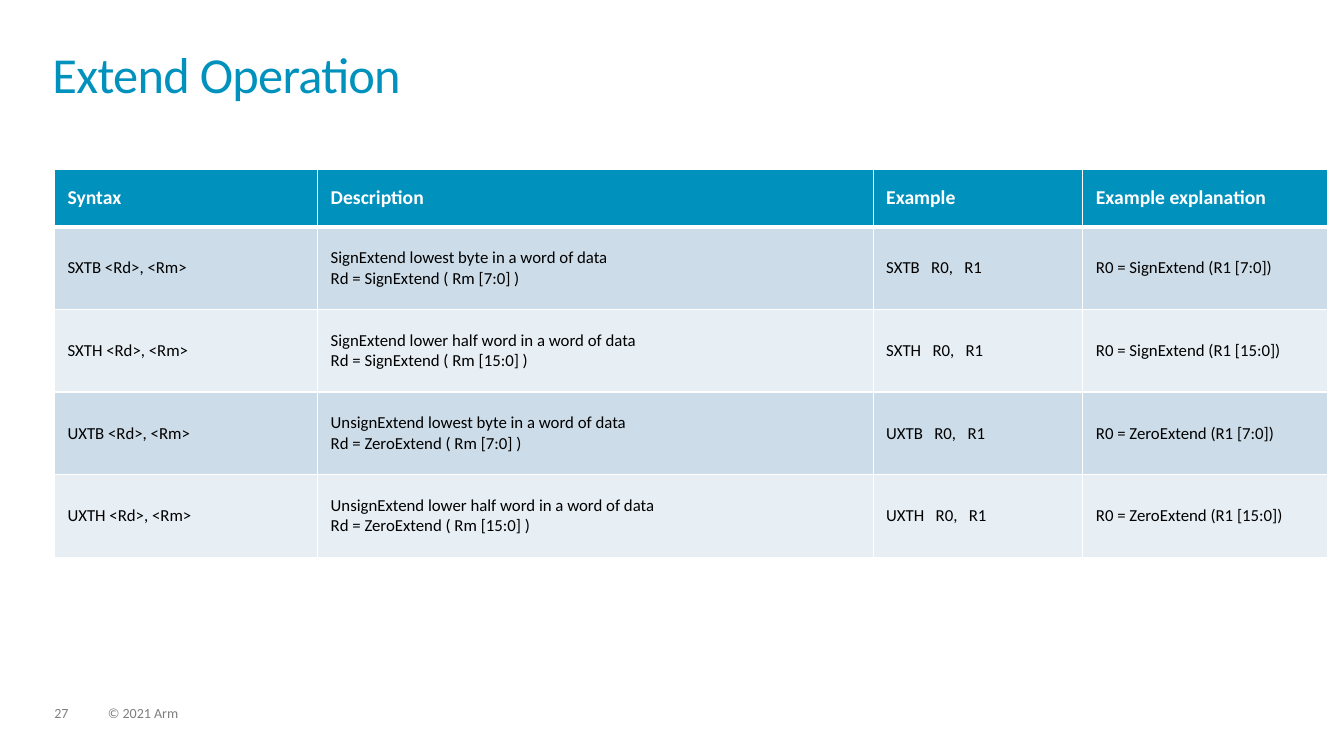
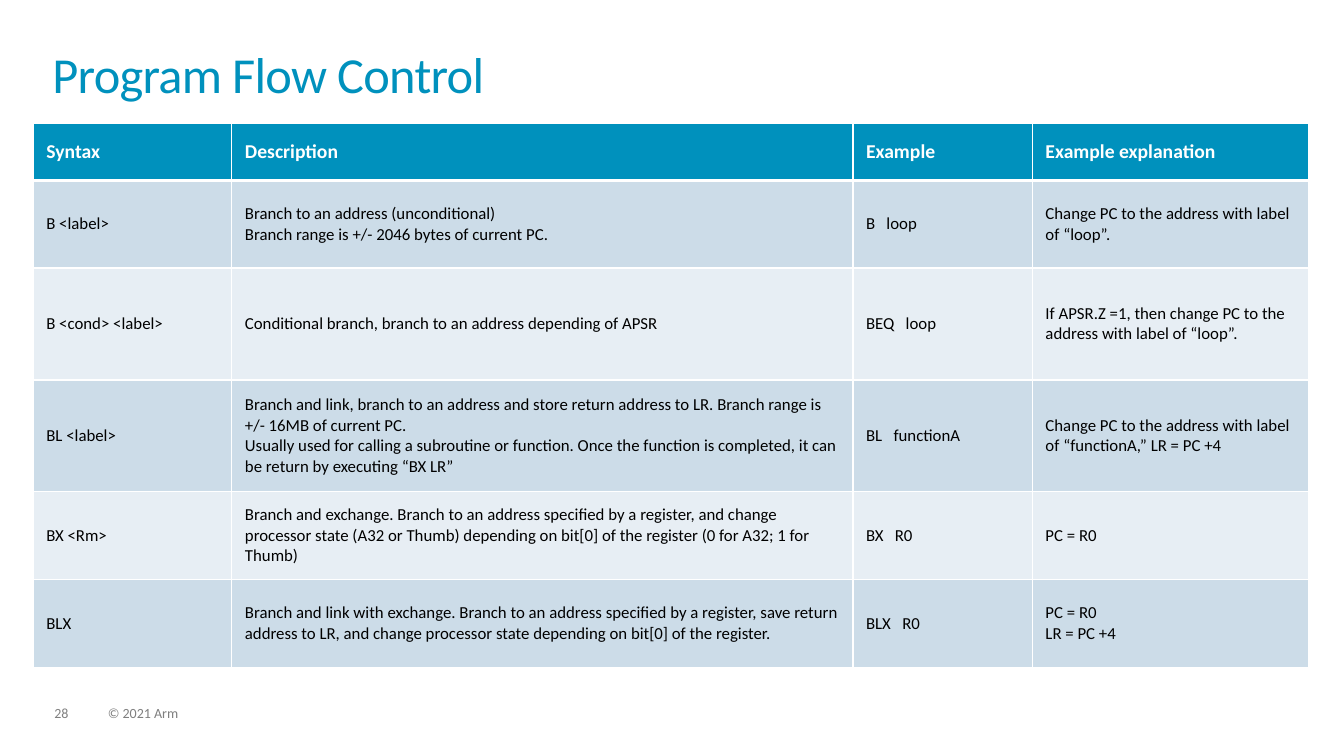
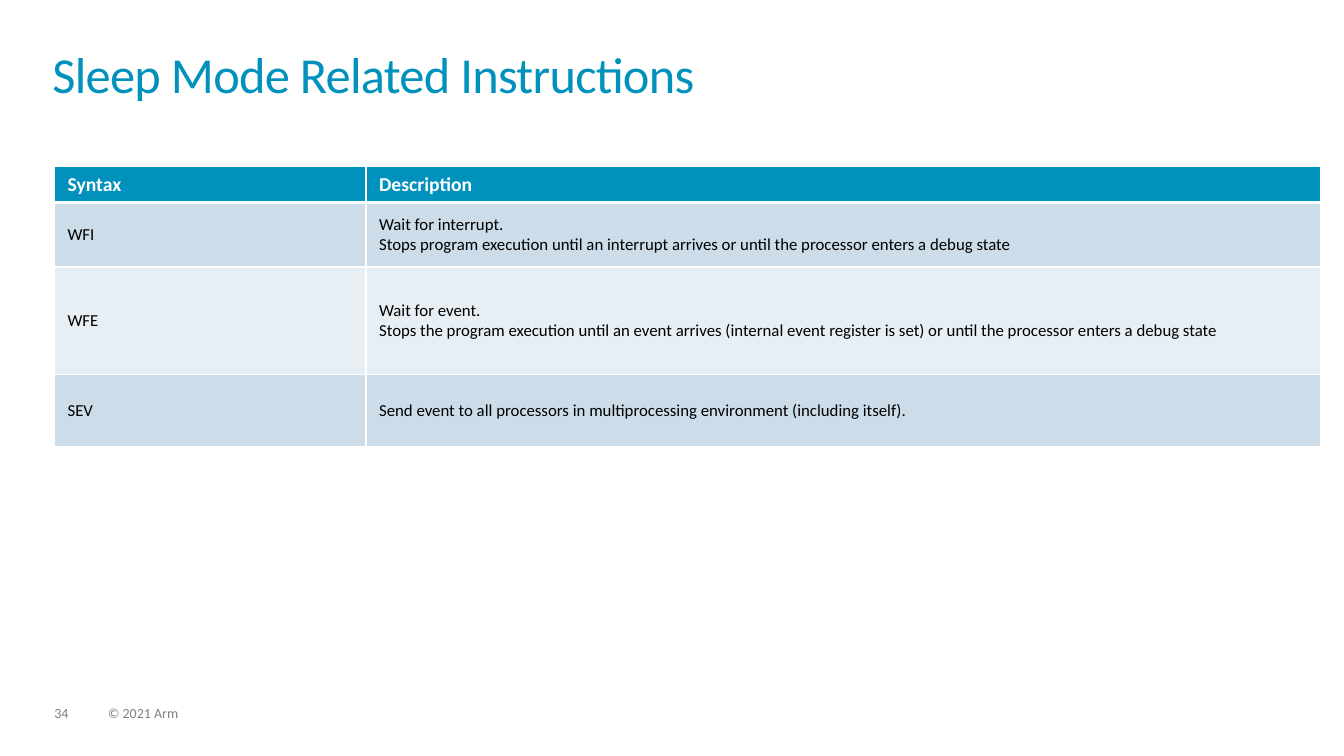
"""Build three slides of instruction set tables."""
from lxml import etree
from pptx import Presentation
from pptx.dml import color
from pptx.enum import text
from pptx.oxml import ns
from pptx.util import Emu, Pt

PX = 9144
FONT = "Calibri"
TEAL, WHITE, BLACK, GREY = "0091BD", "FFFFFF", "000000", "7F7F7F"
BANDS = ("CCDCE8", "E7EEF4")
TITLE = {"size": Pt(36), "color": TEAL}
FOOTER = {"size": Pt(10), "color": GREY}
HEAD = {"size": Pt(14), "color": WHITE, "bold": True}
BODY = {"size": Pt(12), "color": BLACK, "bold": False}
HEADINGS = ["Syntax", "Description", "Example", "Example explanation"]

SLIDES = [
    {
        "number": 27, "title": "Extend Operation", "at": (54, 168),
        "columns": [261, 551, 208, 243], "rows": [57] + [82] * 4,
        "cells": [
            ["SXTB <Rd>, <Rm>",
             "SignExtend lowest byte in a word of data\nRd = SignExtend ( Rm [7:0] )",
             "SXTB   R0,   R1", "R0 = SignExtend (R1 [7:0])"],
            ["SXTH <Rd>, <Rm>",
             "SignExtend lower half word in a word of data\nRd = SignExtend ( Rm [15:0] )",
             "SXTH   R0,   R1", "R0 = SignExtend (R1 [15:0])"],
            ["UXTB <Rd>, <Rm>",
             "UnsignExtend lowest byte in a word of data\nRd = ZeroExtend ( Rm [7:0] )",
             "UXTB   R0,   R1", "R0 = ZeroExtend (R1 [7:0])"],
            ["UXTH <Rd>, <Rm>",
             "UnsignExtend lower half word in a word of data\nRd = ZeroExtend ( Rm [15:0] )",
             "UXTH   R0,   R1", "R0 = ZeroExtend (R1 [15:0])"],
        ],
    },
    {
        "number": 28, "title": "Program Flow Control", "at": (33, 122),
        "columns": [197, 616, 178, 274], "rows": [57, 87, 111, 111, 87, 87],
        "cells": [
            ["B <label>",
             "Branch to an address (unconditional)\n"
             "Branch range is +/- 2046 bytes of current PC.",
             "B   loop", "Change PC to the address with label of “loop”."],
            ["B <cond> <label>",
             "Conditional branch, branch to an address depending of APSR",
             "BEQ   loop",
             "If APSR.Z =1, then change PC to the address with label of “loop”."],
            ["BL <label>",
             "Branch and link, branch to an address and store return address to LR. "
             "Branch range is +/- 16MB of current PC.\n"
             "Usually used for calling a subroutine or function. Once the function "
             "is completed, it can be return by executing “BX LR”",
             "BL   functionA",
             "Change PC to the address with label of “functionA,” LR = PC +4"],
            ["BX <Rm>",
             "Branch and exchange. Branch to an address specified by a register, "
             "and change processor state (A32 or Thumb) depending on bit[0] of the "
             "register (0 for A32; 1 for Thumb)",
             "BX   R0", "PC = R0"],
            ["BLX",
             "Branch and link with exchange. Branch to an address specified by a "
             "register, save return address to LR, and change processor state "
             "depending on bit[0] of the register.",
             "BLX   R0", "PC = R0\nLR = PC +4"],
        ],
    },
    {
        "number": 34, "title": "Sleep Mode Related Instructions", "at": (54, 165),
        "columns": [309, 947], "rows": [36, 64, 107, 71],
        "cells": [
            ["WFI",
             "Wait for interrupt.\nStops program execution until an interrupt "
             "arrives or until the processor enters a debug state"],
            ["WFE",
             "Wait for event.\nStops the program execution until an event arrives "
             "(internal event register is set) or until the processor enters a "
             "debug state"],
            ["SEV",
             "Send event to all processors in multiprocessing environment "
             "(including itself)."],
        ],
    },
]


def px(length):
    """Turn px into EMU."""
    return Emu(length * PX)


def rgb(value):
    """Turn a hex string into a colour."""
    return color.RGBColor.from_string(value)


def apply(target, values):
    """Set each named attribute of an object."""
    for name, value in values.items():
        setattr(target, name, value)


def write(frame, words, style, spacing=None, tracking=None):
    """Write one paragraph per line of words in one style."""
    for index, line in enumerate(words.split("\n")):
        para = frame.add_paragraph() if index else frame.paragraphs[0]
        apply(para, spacing or {})
        span = para.add_run()
        span.text = line
        apply(span.font, {"name": FONT, "size": style["size"],
                          "bold": style.get("bold", False)})
        span.font.color.rgb = rgb(style["color"])
        if tracking:
            span._r.get_or_add_rPr().set("spc", str(tracking))


def add_text(page, place, words, style, spacing, tracking=None):
    """Add a text box without margins."""
    box = page.shapes.add_textbox(*map(px, place))
    apply(box.text_frame, {"word_wrap": True, "margin_left": 0, "margin_top": 0,
                           "margin_right": 0, "margin_bottom": 0})
    write(box.text_frame, words, style, spacing, tracking)


def add_borders(cell, top, bottom):
    """Draw white cell borders with the given top and bottom points."""
    widths = {"lnL": 1, "lnR": 1, "lnT": top, "lnB": bottom}
    for tag, points in widths.items():
        line = etree.SubElement(cell._tc.get_or_add_tcPr(), ns.qn(f"a:{tag}"),
                                w=str(Pt(points)))
        fill = etree.SubElement(line, ns.qn("a:solidFill"))
        etree.SubElement(fill, ns.qn("a:srgbClr"), val=WHITE)


def fill_cell(cell, row, words):
    """Style one cell by its row and write its words."""
    add_borders(cell, 3 if row == 1 else 1, 1 if row else 3)
    cell.fill.solid()
    cell.fill.fore_color.rgb = rgb(BANDS[(row - 1) % 2] if row else TEAL)
    apply(cell, {"vertical_anchor": text.MSO_ANCHOR.MIDDLE,
                 "margin_left": px(13), "margin_right": px(13),
                 "margin_top": px(5), "margin_bottom": px(5)})
    write(cell.text_frame, words, BODY if row else HEAD)


def add_grid(page, at, columns, rows, cells):
    """Add a table with a header row and banded body rows."""
    size = sum(columns), sum(rows)
    table = page.shapes.add_table(len(rows), len(columns),
                                  *map(px, at + size)).table
    table.horz_banding = False
    for column, width in zip(table.columns, columns):
        column.width = px(width)
    for row, height in zip(table.rows, rows):
        row.height = px(height)
    for row, line in enumerate([HEADINGS[:len(columns)]] + cells):
        for column, words in enumerate(line):
            fill_cell(table.cell(row, column), row, words)


def add_frame(page, number, title):
    """Add the page number, copyright line and title."""
    spacing = {"line_spacing": 0.9, "space_after": Pt(6)}
    add_text(page, (54, 701, 34, 15), str(number), FOOTER, spacing)
    add_text(page, (107, 701, 507, 15), "© 2021 Arm", FOOTER, spacing)
    add_text(page, (52, 52, 1228, 72), title, TITLE, {"line_spacing": 0.85}, -50)


def main():
    """Build and save the deck."""
    deck = Presentation()
    apply(deck, {"slide_width": px(1333), "slide_height": px(750)})
    for item in SLIDES:
        page = deck.slides.add_slide(deck.slide_layouts[6])
        add_frame(page, item["number"], item["title"])
        add_grid(page, item["at"], item["columns"], item["rows"], item["cells"])
    deck.save("out.pptx")


if __name__ == "__main__":
    main()
